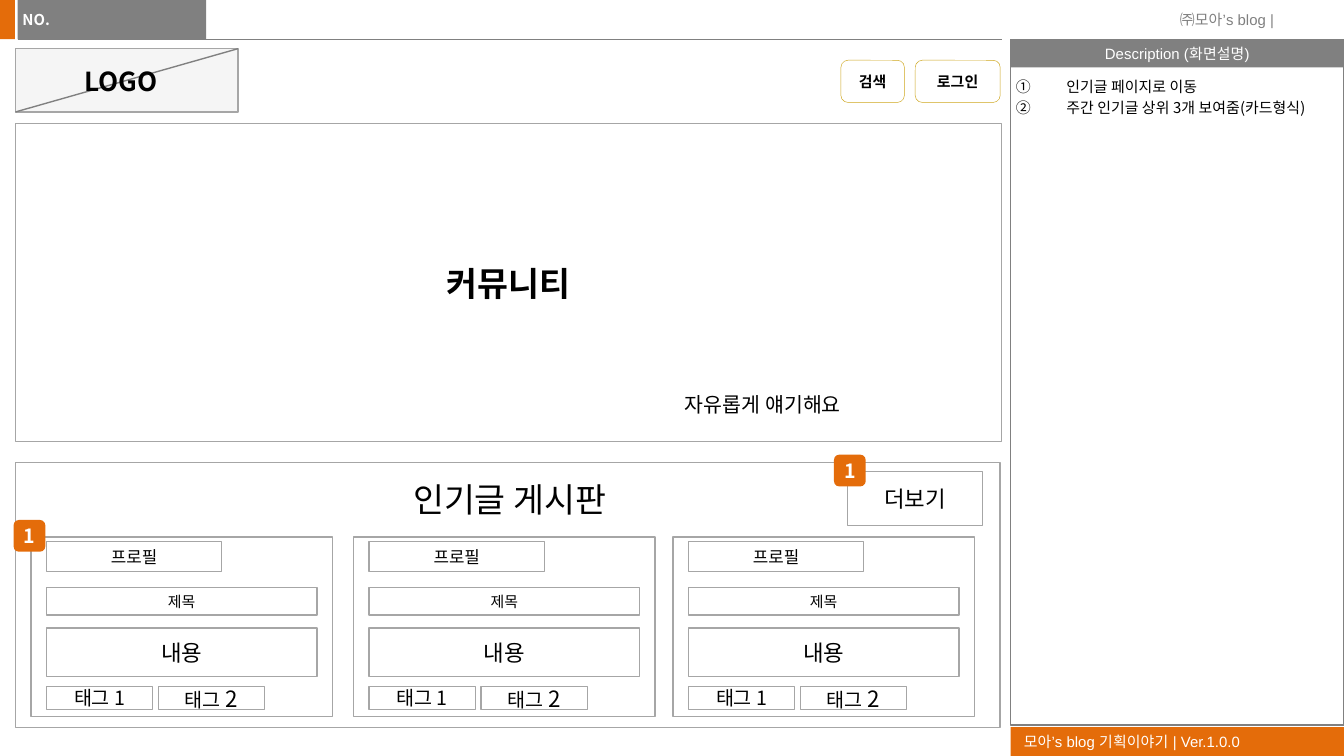
"""Build a wireframe slide of a community home page with its description panel."""
from pptx import Presentation
from pptx.dml.color import RGBColor
from pptx.enum.shapes import MSO_CONNECTOR, MSO_SHAPE
from pptx.enum.text import MSO_ANCHOR, PP_ALIGN
from pptx.oxml.ns import qn
from pptx.util import Pt
from lxml import etree

RECT, ROUND = MSO_SHAPE.RECTANGLE, MSO_SHAPE.ROUNDED_RECTANGLE
STRAIGHT = MSO_CONNECTOR.STRAIGHT
TOP, MIDDLE = MSO_ANCHOR.TOP, MSO_ANCHOR.MIDDLE
LEFT, CENTER = PP_ALIGN.LEFT, PP_ALIGN.CENTER
ORANGE = RGBColor(0xE4, 0x6C, 0x0A)
GRAY = RGBColor(0x80, 0x80, 0x80)
BORDER = RGBColor(0xA6, 0xA6, 0xA6)
PALE = RGBColor(0xF2, 0xF2, 0xF2)
GOLD = RGBColor(0xCE, 0xA6, 0x1D)
WHITE = RGBColor(0xFF, 0xFF, 0xFF)
BLACK = RGBColor(0, 0, 0)
SANS, ARIAL = "Noto Sans CJK KR", "Arial"
INSETS = (7.2, 3.6, 7.2, 3.6)
INDENT = 27

NOTES = ["인기글 페이지로 이동", "주간 인기글 상위 3개 보여줌(카드형식)"]
BUTTONS = [("검색", 450.5, 34), ("로그인", 490.3, 45.5)]
MARKERS = [("1", 446.8, 243.6), ("1", 7.3, 278.6)]
CARD_LEFTS = [16.6, 189.5, 360.6]
CARD_TOP = 287.7
CARD_PARTS = [
    ("제목", (8.2, 26.9, 145, 15), {"size": 8}),
    ("내용", (8.2, 48.8, 145, 26), {"size": 12}),
    ("프로필", (8.2, 2.4, 94, 16), {"size": 9}),
    ("태그 1", (8.2, 80.1, 57, 12.4), {"size": 10.5}),
    ("태그", (68.2, 80.1, 57, 12.4), {"size": 10.5, "tail": " 2", "tail_size": 12}),
]


def write(box, text, size=8, font=SANS, color=BLACK, bold=False, align=CENTER,
          anchor=MIDDLE, insets=INSETS, wrap=True, tail="", tail_size=8, numbered=False):
    frame = box.text_frame
    frame.word_wrap = wrap
    frame.vertical_anchor = anchor
    frame.margin_left, frame.margin_top, frame.margin_right, frame.margin_bottom = map(Pt, insets)
    for index, line in enumerate(text.split("\n")):
        paragraph = frame.add_paragraph() if index else frame.paragraphs[0]
        paragraph.alignment = align
        if index:
            paragraph.space_before = Pt(1.6)
        if numbered:
            properties = paragraph._p.get_or_add_pPr()
            properties.set("marL", str(Pt(INDENT)))
            properties.set("indent", str(-Pt(INDENT)))
            etree.SubElement(properties, qn("a:buAutoNum"), type="circleNumDbPlain")
        for words, points in ((line, size), (tail, tail_size)):
            if words:
                span = paragraph.add_run()
                span.text = words
                span.font.size, span.font.bold = Pt(points), bold
                span.font.name, span.font.color.rgb = font, color
                etree.SubElement(span.font._element, qn("a:ea"), typeface=font)


def add_box(page, area, fill=None, line=None, weight=0.75, kind=RECT, opacity=100):
    box = page.shapes.add_shape(kind, *map(Pt, area))
    box.shadow.inherit = False
    if fill is None:
        box.fill.background()
    else:
        box.fill.solid()
        box.fill.fore_color.rgb = fill
        if opacity < 100:
            color = box._element.spPr.find(qn("a:solidFill"))[0]
            etree.SubElement(color, qn("a:alpha"), val=str(opacity * 1000))
    if line is None:
        box.line.fill.background()
    else:
        box.line.color.rgb = line
        box.line.width = Pt(weight)
    return box


def add_label(page, text, area, **style):
    style = {"align": LEFT, "anchor": TOP, **style}
    write(page.shapes.add_textbox(*map(Pt, area)), text, **style)


def add_line(page, ends, weight):
    line = page.shapes.add_connector(STRAIGHT, *map(Pt, ends))
    line.line.color.rgb = GRAY
    line.line.width = Pt(weight)
    etree.SubElement(line._element.spPr, qn("a:effectLst"))


def add_frame(page):
    add_box(page, (0, 0, 8, 21), fill=ORANGE)
    footer = add_box(page, (541.4, 389.6, 178.6, 15.4), fill=ORANGE)
    write(footer, "모아’s blog 기획이야기 | Ver.1.0.0", font=ARIAL, color=WHITE, align=LEFT)
    add_line(page, (9.4, 21, 537, 21), 0.5)
    add_box(page, (9.4, 0, 101, 21), fill=GRAY)
    add_label(page, "NO.", (4.9, 2.2, 29.5, 17), color=WHITE, bold=True, wrap=False)
    add_label(page, "㈜모아’s blog |", (625, 2.2, 94, 17), font=ARIAL, color=GRAY)
    heading = add_box(page, (541.4, 21, 178.6, 15.2), fill=GRAY)
    write(heading, "Description (화면설명)", font=ARIAL, color=WHITE, wrap=False)
    add_box(page, (541.4, 21, 178.6, 367.4), line=GRAY)
    add_label(page, "\n".join(NOTES), (541.4, 38.2, 178.6, 350), insets=(2.9, 3.6, 0, 3.6),
              numbered=True)


def add_banner(page):
    add_box(page, (8.3, 26.1, 119.2, 33.9), fill=PALE, line=BORDER, opacity=70)
    add_line(page, (127.5, 26.1, 8.3, 60), 0.75)
    add_label(page, "LOGO", (38, 31.7, 55.4, 24), size=14, bold=True, wrap=False)
    for name, left, width in BUTTONS:
        button = add_box(page, (left, 32.3, width, 22.6), line=GOLD, weight=0.25, kind=ROUND)
        write(button, name, bold=True)
    hero = add_box(page, (8.3, 66.3, 528.4, 170.3), fill=WHITE, line=BORDER, opacity=70)
    write(hero, "커뮤니티", size=18, bold=True)
    add_label(page, "자유롭게 얘기해요", (359.8, 206.5, 130, 21), size=11)


def add_board(page):
    add_box(page, (8.3, 247.8, 527.4, 142), fill=WHITE, line=BORDER)
    title = add_box(page, (17, 252.5, 512, 29.5), fill=WHITE)
    write(title, "인기글 게시판", size=18)
    more = add_box(page, (454, 252.5, 72.5, 29), fill=WHITE, line=BORDER)
    write(more, "더보기", size=12)
    for card_left in CARD_LEFTS:
        add_box(page, (card_left, CARD_TOP, 161.5, 96.2), fill=WHITE, line=BORDER)
        for text, (left, top, width, height), style in CARD_PARTS:
            area = (card_left + left, CARD_TOP + top, width, height)
            write(add_box(page, area, fill=WHITE, line=BORDER), text, **style)
    for number, left, top in MARKERS:
        marker = add_box(page, (left, top, 17, 17), fill=ORANGE, kind=ROUND)
        write(marker, number, size=10.5, color=WHITE, bold=True, insets=(0, 3.6, 0, 3.6))


def main():
    deck = Presentation()
    deck.slide_width, deck.slide_height = Pt(720), Pt(405)
    page = deck.slides.add_slide(deck.slide_layouts[6])
    add_frame(page)
    add_banner(page)
    add_board(page)
    deck.save("out.pptx")


if __name__ == "__main__":
    main()
